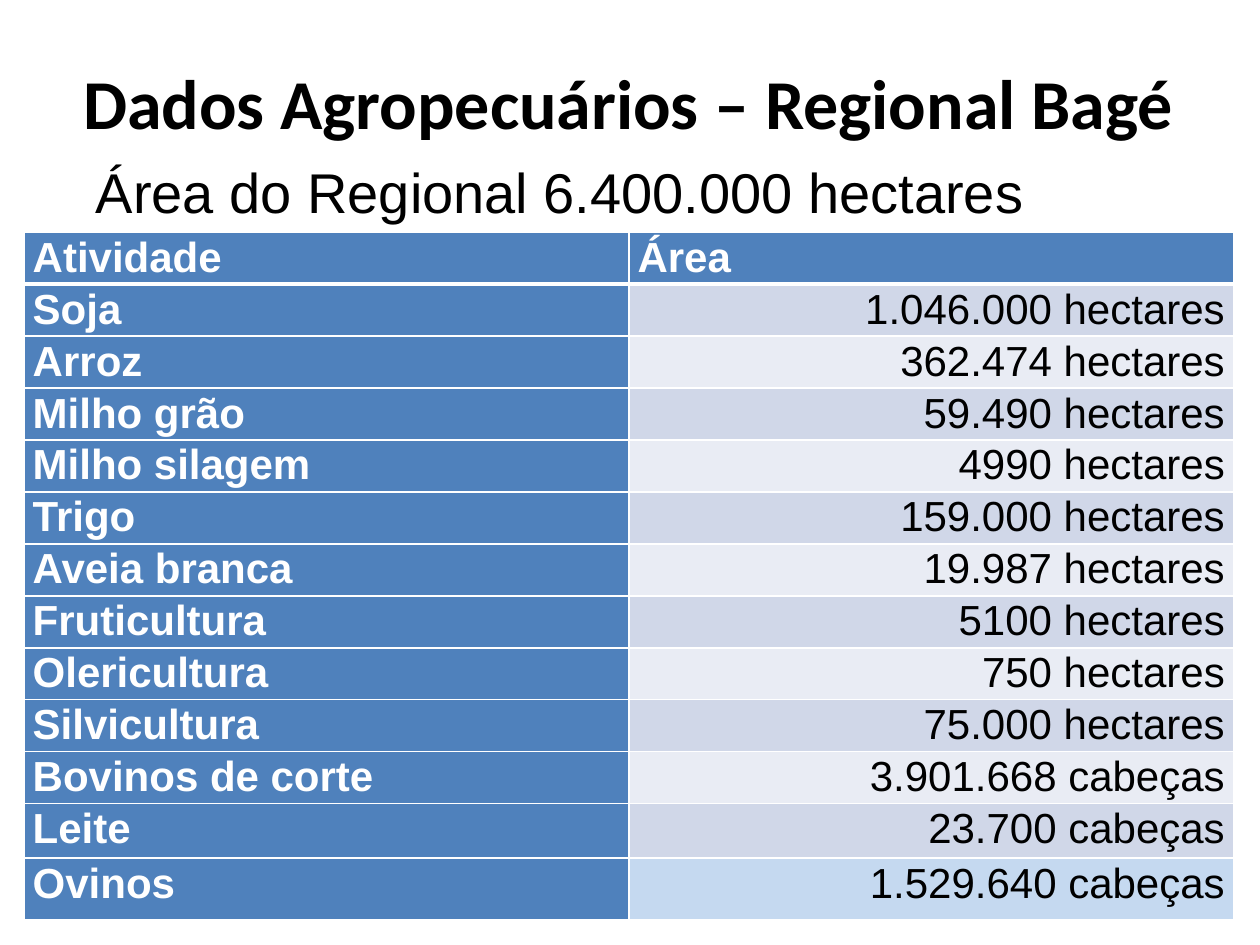
import pptx
import pptx.util
import pptx.dml.color
import pptx.enum.text
import pptx.oxml
import pptx.oxml.ns

Inches = pptx.util.Inches
Pt = pptx.util.Pt
RGBColor = pptx.dml.color.RGBColor
ALIGN = pptx.enum.text.PP_ALIGN

BLACK = RGBColor(0x00, 0x00, 0x00)
WHITE = RGBColor(0xFF, 0xFF, 0xFF)
BLUE = RGBColor(0x4F, 0x81, 0xBC)
BAND_DARK = RGBColor(0xD0, 0xD7, 0xE8)
BAND_LIGHT = RGBColor(0xE9, 0xEC, 0xF4)
LAST_ROW = RGBColor(0xC5, 0xD9, 0xF0)

TITLE = "Dados Agropecuários – Regional Bagé"
SUBTITLE = "Área do Regional 6.400.000 hectares"
ROWS = [
    ("Atividade", "Área"),
    ("Soja", "1.046.000 hectares"),
    ("Arroz", "362.474 hectares"),
    ("Milho grão", "59.490 hectares"),
    ("Milho silagem", "4990 hectares"),
    ("Trigo", "159.000 hectares"),
    ("Aveia branca", "19.987 hectares"),
    ("Fruticultura", "5100 hectares"),
    ("Olericultura", "750 hectares"),
    ("Silvicultura", "75.000 hectares"),
    ("Bovinos de corte", "3.901.668 cabeças"),
    ("Leite", "23.700 cabeças"),
    ("Ovinos", "1.529.640 cabeças"),
]
LAST = len(ROWS) - 1

TABLE_LEFT, TABLE_TOP, TABLE_WIDTH, TABLE_HEIGHT = 0.19, 1.84, 9.6, 5.47
BOTTOM_HEIGHTS = [0.43, 0.5]
REGULAR_COUNT = len(ROWS) - len(BOTTOM_HEIGHTS)
REGULAR_HEIGHT = (TABLE_HEIGHT - sum(BOTTOM_HEIGHTS)) / REGULAR_COUNT
ROW_HEIGHTS = [REGULAR_HEIGHT] * REGULAR_COUNT + BOTTOM_HEIGHTS

TITLE_FONT = {"name": "Calibri", "size": Pt(40), "bold": True}
SUBTITLE_FONT = {"name": "Arial", "size": Pt(32), "bold": False}
LABEL_FONT = {"name": "Arial", "size": Pt(24), "bold": True}
VALUE_FONT = {"name": "Arial", "size": Pt(24), "bold": False}


def set_attributes(target, values):
    for name, value in values.items():
        setattr(target, name, value)


def write(paragraph, text, font, color):
    run = paragraph.add_run()
    run.text = text
    set_attributes(run.font, font)
    run.font.color.rgb = color


def set_borders(cell, widths):
    """Give the cell white borders; widths are points for left, right, top, bottom."""
    properties = cell._tc.get_or_add_tcPr()
    namespace = pptx.oxml.ns.nsdecls("a")
    for index, (side, width) in enumerate(zip("LRTB", widths)):
        line = pptx.oxml.parse_xml(
            f'<a:ln{side} {namespace} w="{Pt(width)}"><a:solidFill>'
            f'<a:srgbClr val="{WHITE}"/></a:solidFill></a:ln{side}>')
        properties.insert(index, line)


def add_heading(slide):
    box = slide.shapes.add_textbox(Inches(0.65), Inches(0.29), Inches(8.69), Inches(1.47))
    frame = box.text_frame
    set_attributes(frame, {
        "word_wrap": True, "margin_left": Inches(0.01), "margin_right": 0,
        "margin_top": Inches(0.18), "margin_bottom": 0})
    write(frame.paragraphs[0], TITLE, TITLE_FONT, BLACK)
    subtitle = frame.add_paragraph()
    subtitle.space_before = Pt(7.9)
    subtitle._p.get_or_add_pPr().set("marL", str(Inches(0.1)))
    write(subtitle, SUBTITLE, SUBTITLE_FONT, BLACK)


def fill_color(row, column):
    if row == 0 or column == 0:
        return BLUE
    if row == LAST:
        return LAST_ROW
    return BAND_DARK if row % 2 else BAND_LIGHT


def add_activity_table(slide):
    table = slide.shapes.add_table(
        len(ROWS), 2, Inches(TABLE_LEFT), Inches(TABLE_TOP),
        Inches(TABLE_WIDTH), Inches(TABLE_HEIGHT)).table
    for column in table.columns:
        column.width = Inches(TABLE_WIDTH / 2)
    for row, texts in enumerate(ROWS):
        table.rows[row].height = Inches(ROW_HEIGHTS[row])
        for column, text in enumerate(texts):
            cell = table.cell(row, column)
            is_label = row == 0 or column == 0
            set_attributes(cell, {
                "margin_left": Inches(0.07), "margin_right": Inches(0.07),
                "margin_top": Inches(0.02 if row == LAST else 0), "margin_bottom": 0})
            cell.fill.solid()
            cell.fill.fore_color.rgb = fill_color(row, column)
            set_borders(cell, (1, 1, 3 if row == 1 else 1, 3 if row in (0, LAST) else 1))
            paragraph = cell.text_frame.paragraphs[0]
            paragraph.alignment = ALIGN.LEFT if is_label else ALIGN.RIGHT
            if row != LAST:
                paragraph.line_spacing = Pt(28)
            write(paragraph, text, LABEL_FONT if is_label else VALUE_FONT,
                  WHITE if is_label else BLACK)


def main():
    presentation = pptx.Presentation()
    presentation.slide_width = Inches(10)
    presentation.slide_height = Inches(7.5)
    slide = presentation.slides.add_slide(presentation.slide_layouts[6])
    add_heading(slide)
    add_activity_table(slide)
    presentation.save("out.pptx")


if __name__ == "__main__":
    main()
